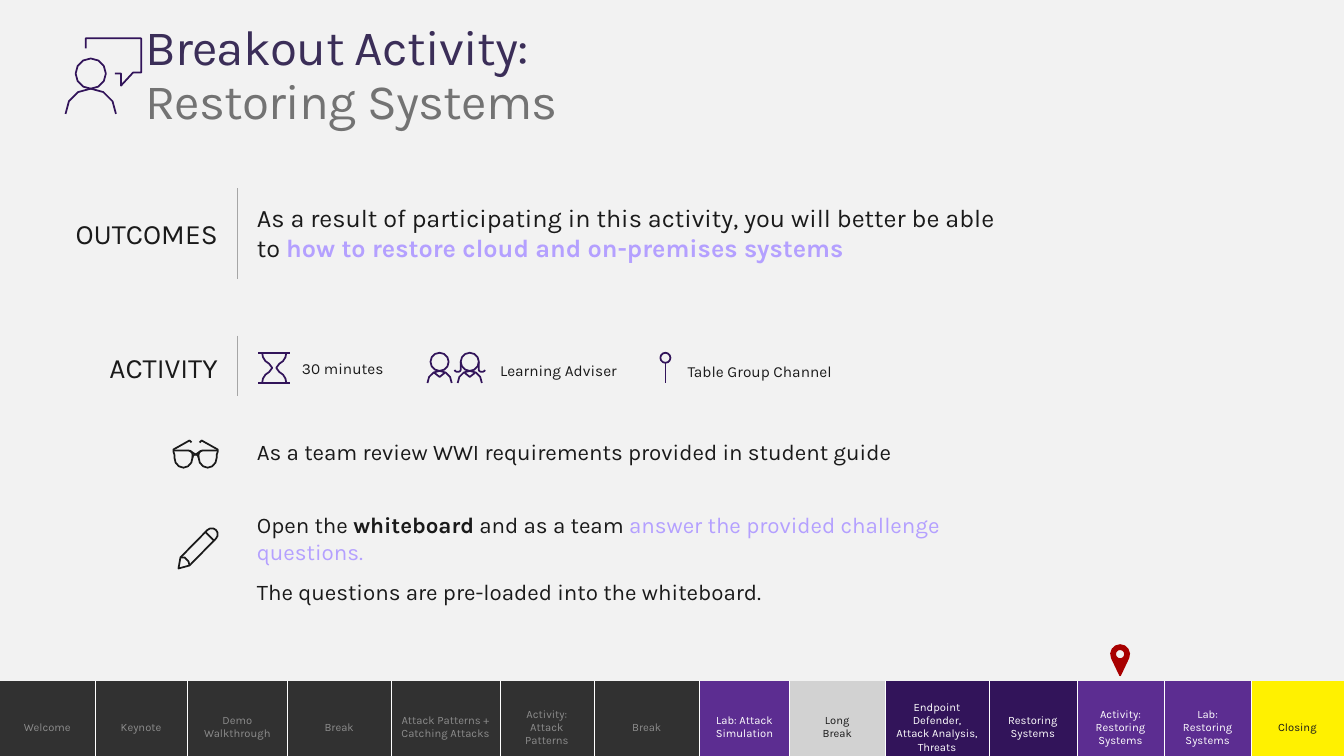
from math import ceil, cos, radians, sin

from lxml.etree import SubElement
from pptx import Presentation
from pptx.dml.color import RGBColor
from pptx.enum.shapes import MSO_CONNECTOR
from pptx.enum.text import MSO_ANCHOR, MSO_AUTO_SIZE, PP_ALIGN
from pptx.oxml import parse_xml
from pptx.oxml.ns import nsdecls, qn
from pptx.util import Inches, Pt

COLORS = {
    "background": "F2F2F2", "title": "3B2E58", "subtitle": "737373",
    "ink": "1A1A1A", "accent": "B4A0FF", "rule": "A6A6A6", "icon": "32145A",
    "pin": "A80000", "past": "313131", "past text": "8C8C8C", "lab": "5C2D91",
    "pause": "D2D2D2", "talk": "32145A", "closing": "FFF100", "white": "FFFFFF",
}
RGB = {name: RGBColor.from_string(value) for name, value in COLORS.items()}
FONT = "Karla"

prs = Presentation()
prs.slide_width, prs.slide_height = Inches(13.33), Inches(7.5)
s = prs.slides.add_slide(prs.slide_layouts[5])
s.background.fill.solid()
s.background.fill.fore_color.rgb = RGB["background"]


def arc(cx, cy, rx, ry, start, end):
    """Points along an ellipse, angles in degrees clockwise from the right."""
    steps = ceil(abs(end - start) / 30)
    angles = [radians(start + (end - start) * i / steps) for i in range(steps + 1)]
    return [(cx + rx * cos(a), cy + ry * sin(a)) for a in angles]


def draw(strokes, color, filled=False):
    """One freeform made of several strokes, points in inches."""
    strokes = [[(Inches(x), Inches(y)) for x, y in stroke] for stroke in strokes]
    builder = s.shapes.build_freeform(*strokes[0][0])
    for i, stroke in enumerate(strokes):
        if i:
            builder.move_to(*stroke[0])
        builder.add_line_segments(stroke[1:], close=filled)
    sp = builder.convert_to_shape()
    sp.shadow.inherit = False
    if filled:
        sp.fill.solid()
        sp.fill.fore_color.rgb = RGB[color]
    else:
        sp.fill.background()
    sp.line.color.rgb = RGB[color]
    sp.line.width = Pt(1.25)


# Title
title = s.shapes.title
title.left, title.top = Inches(1.44), Inches(0.22)
title.width, title.height = Inches(11.8), Inches(1.07)
tf = title.text_frame
tf.auto_size = MSO_AUTO_SIZE.SHAPE_TO_FIT_TEXT
tf.word_wrap = True
tf.vertical_anchor = MSO_ANCHOR.BOTTOM
tf.margin_left = tf.margin_right = tf.margin_top = tf.margin_bottom = 0
p = tf.paragraphs[0]
p.alignment = PP_ALIGN.LEFT
p.line_spacing = 0.9
p.font.size, p.font.name = Pt(35.3), FONT
for i, (line, color) in enumerate([("Breakout Activity: ", "title"),
                                   ("Restoring Systems", "subtitle")]):
    if i:
        p.add_line_break()
        SubElement(p._p.find(qn("a:br")), qn("a:rPr"), sz="3530")
    r = p.add_run()
    r.text = line
    r.font.size, r.font.name = Pt(35.3), FONT
    r.font.color.rgb = RGB[color]
    r.font._element.set("spc", "-50")

# Text boxes: left, top, width, height, inset, size, alignment, paragraphs of runs
LEFT, CENTER, RIGHT = PP_ALIGN.LEFT, PP_ALIGN.CENTER, PP_ALIGN.RIGHT
texts = [
    (0.67, 2.15, 1.49, 0.34, False, 20, RIGHT, [[("OUTCOMES", "ink", False)]]),
    (0.72, 3.48, 1.44, 0.34, False, 20, RIGHT, [[("ACTIVITY", "ink", False)]]),
    (2.45, 1.96, 7.56, 0.71, True, 18, LEFT, [[
        ("As a result of participating in this activity, you will better be able to ",
         "ink", False),
        ("how to restore cloud and on-premises systems", "accent", True)]]),
    (2.88, 3.56, 1.04, 0.19, False, 11, CENTER, [[("30 minutes", "ink", False)]]),
    (4.96, 3.58, 1.22, 0.19, False, 11, LEFT, [[("Learning Adviser", "ink", False)]]),
    (6.69, 3.59, 1.69, 0.19, False, 11, CENTER,
     [[("Table Group Channel", "ink", False)]]),
    (2.45, 4.3, 7.56, 0.37, True, 16, LEFT, [[
        ("As a team review WWI requirements provided in student guide", "ink", False)]]),
    (2.45, 5.02, 7.56, 1.04, True, 16, LEFT, [
        [("Open the ", "ink", False), ("whiteboard", "ink", True),
         (" and as a team ", "ink", False),
         ("answer the provided challenge questions.", "accent", False)],
        [("The questions are pre-loaded into the whiteboard.", "ink", False)]]),
]
for x, y, w, h, inset, size, align, paragraphs in texts:
    tf = s.shapes.add_textbox(Inches(x), Inches(y), Inches(w), Inches(h)).text_frame
    tf.word_wrap = True
    tf.auto_size = MSO_AUTO_SIZE.SHAPE_TO_FIT_TEXT
    if not inset:
        tf.margin_left = tf.margin_right = tf.margin_top = tf.margin_bottom = 0
    for i, runs in enumerate(paragraphs):
        p = tf.add_paragraph() if i else tf.paragraphs[0]
        p.alignment = align
        if i:
            p.space_before = Pt(9.5)
        p.font.size, p.font.name = Pt(size), FONT
        for text, color, bold in runs:
            r = p.add_run()
            r.text = text
            r.font.bold = bold
            r.font.color.rgb = RGB[color]

# Vertical rules beside the headings
for top, bottom in [(1.87, 2.77), (3.33, 3.93)]:
    rule = s.shapes.add_connector(MSO_CONNECTOR.STRAIGHT, Inches(2.36), Inches(top),
                                  Inches(2.36), Inches(bottom))
    rule.line.color.rgb = RGB["rule"]
    rule.line.width = Pt(0.75)
    SubElement(rule._element.spPr, qn("a:effectLst"))

# Speaker icon
draw([[(0.85, 0.48), (0.85, 0.38), (1.4, 0.38), (1.4, 0.72), (1.32, 0.72),
       (1.2, 0.85), (1.2, 0.73), (1.14, 0.73)],
      arc(0.9, 0.73, 0.15, 0.15, 0, 360),
      arc(0.9, 1.13, 0.25, 0.25, 180, 360)], "icon")

# Hourglass icon
hourglass = [[(2.56, y), (2.88, y)] for y in (3.5, 3.8)]
for side in (1, -1):
    hourglass.append(arc(2.72, 3.8, side * 0.12, 0.12, 0, -65)
                     + [(2.72 + side * 0.02, 3.65)]
                     + arc(2.72, 3.5, side * 0.12, 0.12, 65, 0))
draw(hourglass, "icon")

# Adviser icons, the second one with long hair
for cx, long_hair in [(4.36, False), (4.66, True)]:
    person = [arc(cx, 3.59, 0.09, 0.09, 0, 360), arc(cx, 3.8, 0.12, 0.12, 180, 360),
              [(cx - 0.05, 3.7), (cx, 3.74), (cx + 0.05, 3.7)]]
    if long_hair:
        for side in (1, -1):
            person.append([(cx + side * 0.09, 3.59)]
                          + arc(cx + side * 0.12, 3.67, side * 0.03, 0.02, 180, 0))
    draw(person, "icon")

# Channel icon
draw([arc(6.6, 3.55, 0.05, 0.05, 0, 360), [(6.6, 3.6), (6.6, 3.8)]], "icon")

# Glasses icon
glasses = []
for side in (1, -1):
    lens = 1.94 + side * 0.12
    frame = [(0.04, 4.39), (0.06, 4.37), (0.22, 4.46), (0.22, 4.48), (0.21, 4.51)]
    glasses += [[(1.94 + side * dx, y) for dx, y in frame]
                + arc(lens, 4.54, side * 0.09, 0.1, 0, 180)
                + arc(1.94, 4.54, side * 0.03, 0.03, 0, -90),
                [(1.94 + side * 0.22, 4.47)]
                + arc(1.94 + side * 0.07, 4.51, side * 0.04, 0.04, -90, -180)
                + [(1.94 + side * 0.03, 4.54)],
                [(1.94 + side * dx, y) for dx, y in [(0, 4.51), (0.03, 4.49), (0.06, 4.47)]]]
draw(glasses, "ink")

# Pencil icon
draw([[(1.88, 5.61), (1.77, 5.64), (1.79, 5.53)]
      + arc(2.1, 5.3, 0.06, 0.06, -135, 45) + [(1.88, 5.61)],
      [(2.04, 5.28), (2.12, 5.36)],
      [(1.88, 5.61), (1.87, 5.57), (1.85, 5.55), (1.83, 5.53), (1.79, 5.53)]], "ink")

# Agenda strip: label, column width, fill, text colour
agenda = [
    ("Welcome", 0.94, "past", "past text"),
    ("Keynote", 0.92, "past", "past text"),
    ("Demo Walkthrough", 0.99, "past", "past text"),
    ("Break", 1.03, "past", "past text"),
    ("Attack Patterns + Catching Attacks", 1.08, "past", "past text"),
    ("Activity: Attack Patterns", 0.93, "past", "past text"),
    ("Break", 1.05, "past", "past text"),
    ("Lab: Attack Simulation", 0.89, "lab", "white"),
    ("Long\vBreak", 0.95, "pause", "ink"),
    ("Endpoint Defender, Attack Analysis, Threats", 1.03, "talk", "white"),
    ("Restoring Systems", 0.87, "talk", "white"),
    ("Activity: Restoring Systems", 0.87, "lab", "white"),
    ("Lab: Restoring Systems", 0.86, "lab", "white"),
    ("Closing", 0.92, "closing", "ink"),
]
table = s.shapes.add_table(1, len(agenda), 0, Inches(6.76), Inches(13.33),
                           Inches(0.92)).table
table.first_row = table.horz_banding = False
WHITE_LINE = f'<a:solidFill><a:srgbClr val="{COLORS["white"]}"/></a:solidFill>'
for i, (label, width, fill, color) in enumerate(agenda):
    table.columns[i].width = Inches(width)
    cell = table.cell(0, i)
    cell.text = label
    cell.vertical_anchor = MSO_ANCHOR.MIDDLE
    cell.fill.solid()
    cell.fill.fore_color.rgb = RGB[fill]
    p = cell.text_frame.paragraphs[0]
    p.alignment = CENTER
    p.font.size, p.font.name = Pt(8), FONT
    p.font.color.rgb = RGB[color]
    inner = {"L": i > 0, "R": i < len(agenda) - 1, "T": False, "B": False}
    for k, edge in enumerate(inner):
        paint = WHITE_LINE if inner[edge] else "<a:noFill/>"
        cell._tc.get_or_add_tcPr().insert(k, parse_xml(
            f'<a:ln{edge} {nsdecls("a")} w="3175">{paint}</a:ln{edge}>'))

# Pin above the current session
draw([arc(11.11, 6.49, 0.09, 0.09, 155, 385) + [(11.11, 6.7)],
      arc(11.11, 6.49, 0.05, 0.05, 360, 0)], "pin", filled=True)

prs.save("out.pptx")
